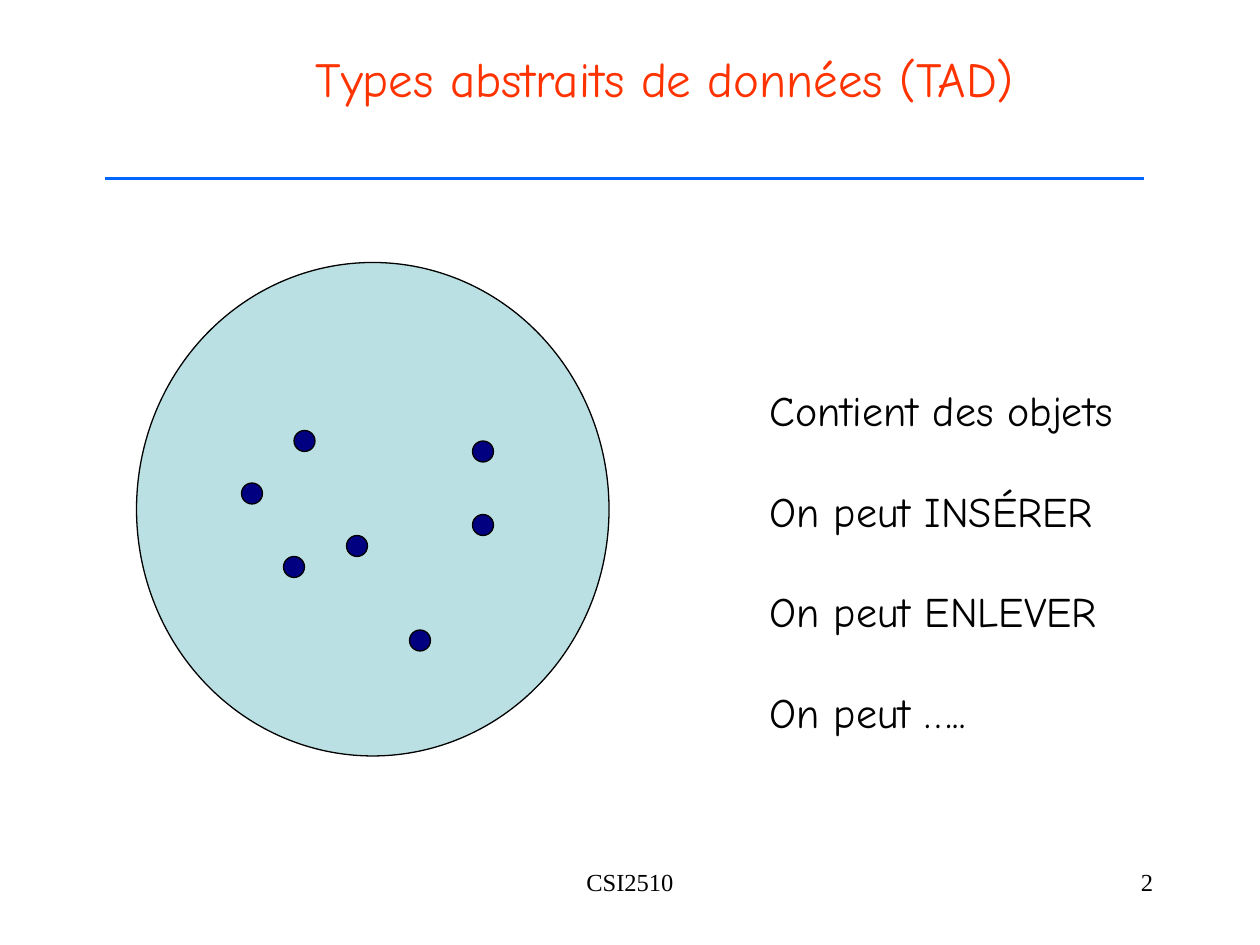
import pptx
import pptx.util
import pptx.dml.color
import pptx.enum.shapes
import pptx.enum.text
import pptx.oxml

PX = 9525
COLORS = {
    "black": "000000",
    "title": "FF3300",
    "rule": "0066FF",
    "set": "BBE0E3",
    "object": "000080",
}
ALIGN = pptx.enum.text.PP_ALIGN


def rgb(name):
    return pptx.dml.color.RGBColor.from_string(COLORS[name])


def add_text(text, box, size, font="Comic Neue", color="black",
             align=ALIGN.LEFT, gap=0):
    frame = slide.shapes.add_textbox(*[v * PX for v in box]).text_frame
    frame.word_wrap = True
    frame.text = text
    for index, paragraph in enumerate(frame.paragraphs):
        paragraph.alignment = align
        paragraph.space_before = pptx.util.Pt(gap if index else 0)
        paragraph.font.name = font
        paragraph.font.size = pptx.util.Pt(size)
        paragraph.font.color.rgb = rgb(color)


presentation = pptx.Presentation()
presentation.slide_width = 960 * PX
presentation.slide_height = 720 * PX
slide = presentation.slides.add_slide(presentation.slide_layouts[6])

add_text("CSI2510", (328, 656, 304, 48), 14, font="Times New Roman",
         align=ALIGN.CENTER)
add_text("2", (688, 656, 200, 48), 14, font="Times New Roman",
         align=ALIGN.RIGHT)

DOT = 16
dots = [(224, 328), (264, 408), (360, 336), (184, 368),
        (360, 392), (216, 424), (312, 480)]
ellipses = [(104, 200, 360, 376, "set")]
ellipses += [(x, y, DOT, DOT, "object") for x, y in dots]
for *box, color in ellipses:
    ellipse = slide.shapes.add_shape(
        pptx.enum.shapes.MSO_SHAPE.OVAL, *[v * PX for v in box])
    ellipse.shadow.inherit = False
    ellipse.fill.solid()
    ellipse.fill.fore_color.rgb = rgb(color)
    ellipse.line.color.rgb = rgb("black")
    ellipse.line.width = pptx.util.Pt(0.75)

operations = ["Contient des objets", "On peut INSÉRER",
              "On peut ENLEVER", "On peut ….."]
add_text("\n".join(operations), (577, 288, 286, 278), 24, gap=28.8)
add_text("Types abstraits de données (TAD)", (231, 32, 558, 54), 28,
         color="title")

rule = slide.shapes.add_connector(
    pptx.enum.shapes.MSO_CONNECTOR.STRAIGHT,
    80 * PX, 136 * PX, 872 * PX, 136 * PX)
rule.line.color.rgb = rgb("rule")
rule.line.width = pptx.util.Pt(2)
rule._element.spPr.append(pptx.oxml.parse_xml(
    '<a:effectLst xmlns:a="http://schemas.openxmlformats.org/drawingml/2006/main"/>'))

presentation.save("out.pptx")
